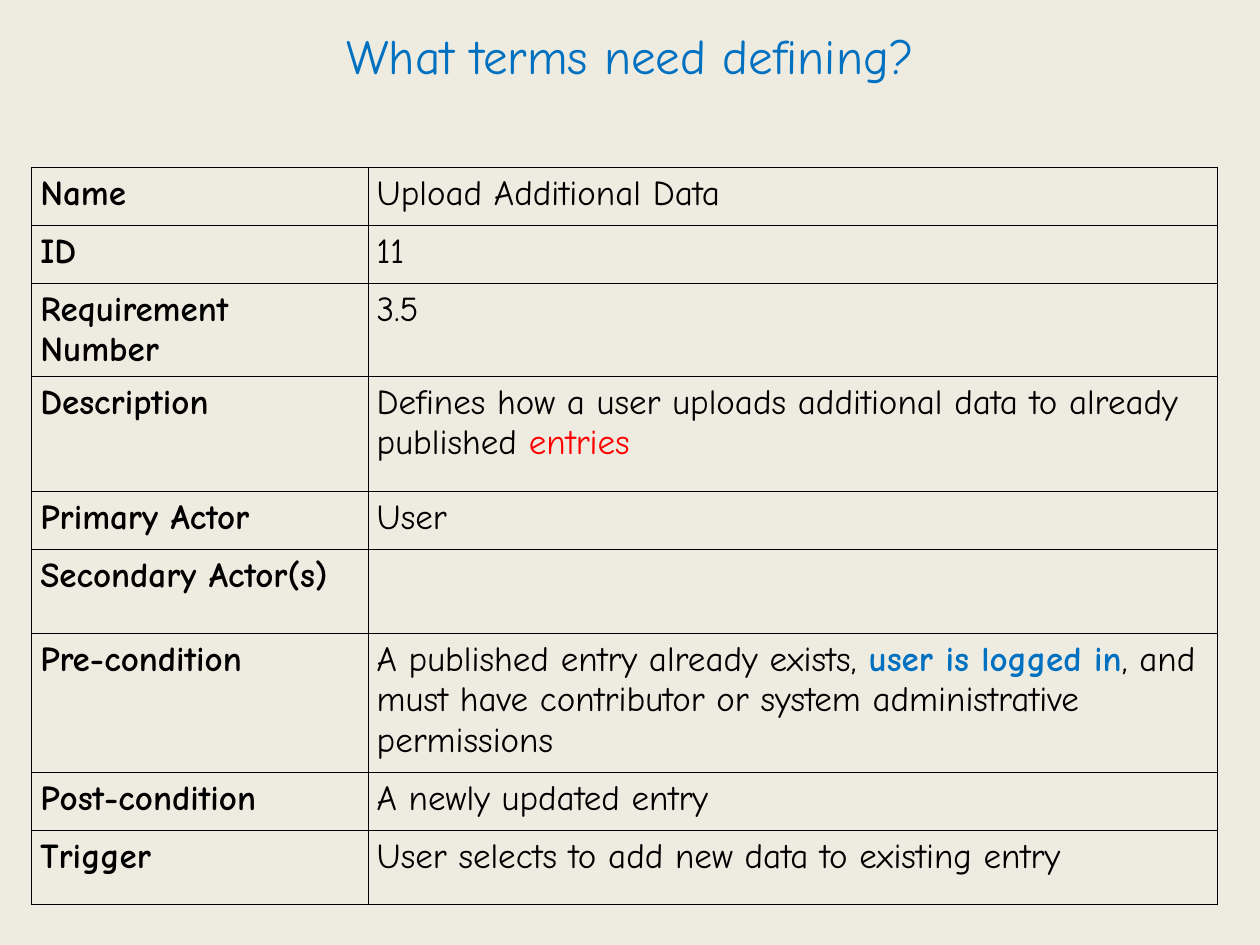
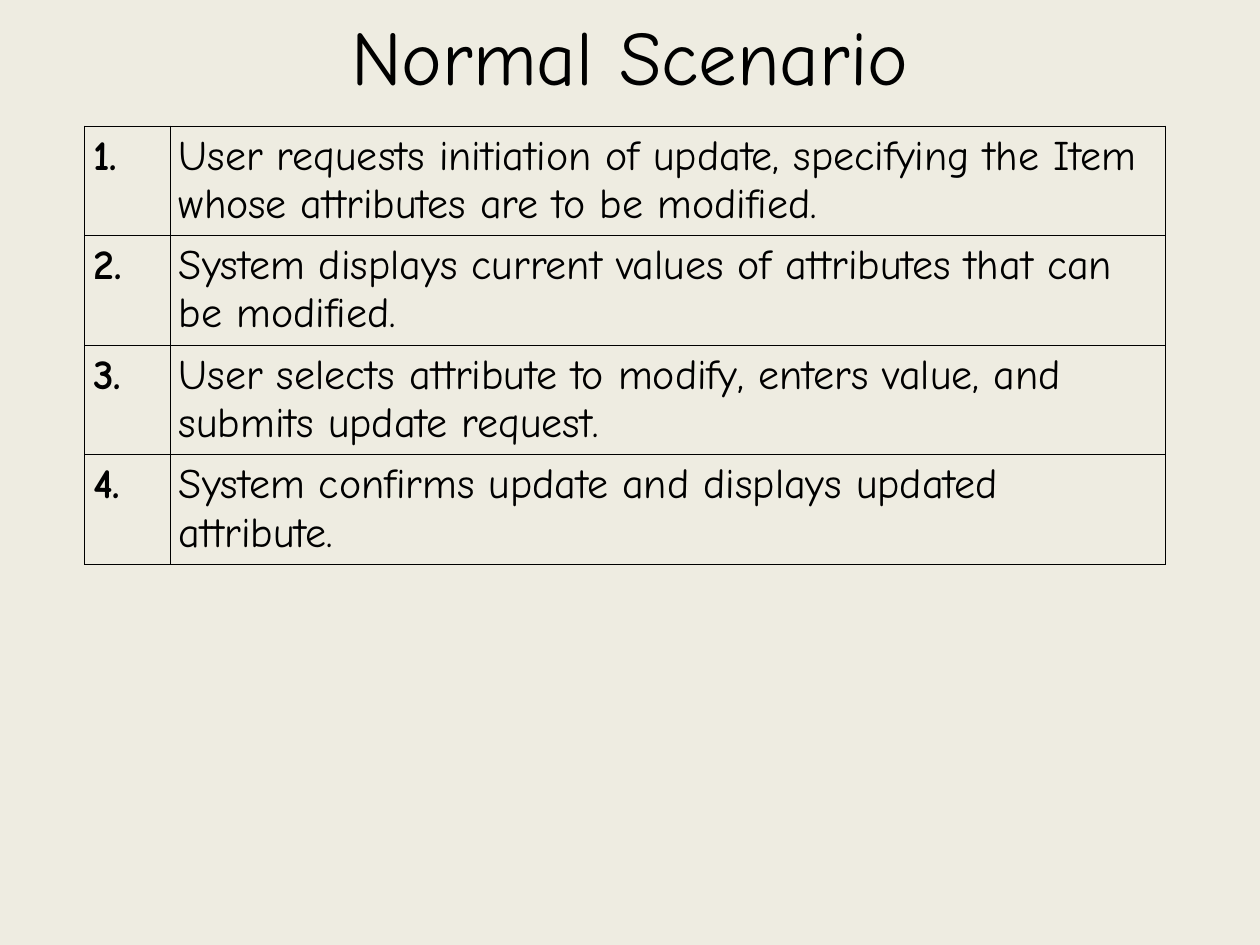
from lxml import etree
from pptx import Presentation
from pptx.dml.color import RGBColor
from pptx.enum.text import MSO_ANCHOR, MSO_AUTO_SIZE, PP_ALIGN
from pptx.oxml.ns import qn
from pptx.util import Inches, Pt

FONT = "Comic Neue"
CREAM = RGBColor(0xEE, 0xEC, 0xE1)
BLACK = RGBColor(0, 0, 0)
BLUE = RGBColor(0, 0x70, 0xC0)
RED = RGBColor(0xFF, 0, 0)
BORDER_WIDTH = Pt(0.45)
CELL_MARGINS = {
    "margin_left": Inches(0.07), "margin_right": Inches(0.07),
    "margin_top": Inches(0.05), "margin_bottom": Inches(0.05),
}

# A cell is a list of runs: (text, format values that differ from the table's).
USE_CASE = [
    ("Name", [("Upload Additional Data", {})]),
    ("ID", [("11", {})]),
    ("Requirement Number", [("3.5", {})]),
    ("Description", [
        ("Defines how a user uploads additional data to already published ", {}),
        ("entries", {"color": RED}),
    ]),
    ("Primary Actor", [("User", {})]),
    ("Secondary Actor(s)", []),
    ("Pre-condition", [
        ("A published entry already exists, ", {}),
        ("user is logged in", {"color": BLUE, "bold": True}),
        (", and must have contributor or system administrative permissions", {}),
    ]),
    ("Post-condition", [("A newly updated entry", {})]),
    ("Trigger", [("User selects to add new data to existing entry", {})]),
]
STEPS = [
    "User requests initiation of update, specifying the Item whose attributes are to be modified.",
    "System displays current values of attributes that can be modified.",
    "User selects attribute to modify, enters value, and submits update request.",
    "System confirms update and displays updated attribute.",
]
SLIDES = [
    {
        "title": "What terms need defining?", "title_size": 28, "title_color": BLUE,
        "rows": USE_CASE, "text_size": 20, "corner": (0.25, 1.33),
        "widths": [2.67, 6.74],
        "heights": [0.46, 0.46, 0.67, 0.91, 0.46, 0.67, 1.1, 0.46, 0.59],
    },
    {
        "title": "Normal Scenario", "title_size": 44, "title_color": BLACK,
        "rows": [(f"{number}.", [(step, {})]) for number, step in enumerate(STEPS, 1)],
        "text_size": 24, "corner": (0.67, 1),
        "widths": [0.68, 7.9], "heights": [0.87] * len(STEPS),
    },
]


def add_run(paragraph, text, size, color=BLACK, bold=False):
    run = paragraph.add_run()
    run.text = text
    for name, value in {"name": FONT, "size": Pt(size), "bold": bold}.items():
        setattr(run.font, name, value)
    run.font.color.rgb = color


def add_title(slide, text, size, color):
    title = slide.shapes.title
    title.left, title.top, title.width, title.height = (
        Inches(length) for length in (0, 0, 10, 0.87))
    frame = title.text_frame
    frame.auto_size = MSO_AUTO_SIZE.NONE
    frame.vertical_anchor = MSO_ANCHOR.MIDDLE
    frame.paragraphs[0].alignment = PP_ALIGN.CENTER
    add_run(frame.paragraphs[0], text, size, color)


def add_borders(cell):
    properties = cell._tc.get_or_add_tcPr()
    for side in ("lnL", "lnR", "lnT", "lnB"):
        line = etree.SubElement(properties, qn(f"a:{side}"), w=str(BORDER_WIDTH))
        fill = etree.SubElement(line, qn("a:solidFill"))
        etree.SubElement(fill, qn("a:srgbClr"), val=str(BLACK))


def fill_cell(cell, runs, size):
    add_borders(cell)
    cell.fill.background()
    for name, value in CELL_MARGINS.items():
        setattr(cell, name, value)
    paragraph = cell.text_frame.paragraphs[0]
    paragraph.font.size = Pt(size)
    for text, style in runs:
        add_run(paragraph, text, size, **style)


def add_ruled_table(slide, rows, size, corner, widths, heights):
    """Add a two-column table with bold labels on the left and no banding."""
    left, top = corner
    table = slide.shapes.add_table(
        len(rows), len(widths), Inches(left), Inches(top),
        Inches(sum(widths)), Inches(sum(heights))).table
    table.first_row = table.horz_banding = False
    for column, width in zip(table.columns, widths):
        column.width = Inches(width)
    for row, height, (label, runs) in zip(table.rows, heights, rows):
        row.height = Inches(height)
        fill_cell(row.cells[0], [(label, {"bold": True})], size)
        fill_cell(row.cells[1], runs, size)


def main():
    prs = Presentation()
    prs.slide_width, prs.slide_height = Inches(10), Inches(7.5)
    background = prs.slide_master.background.fill
    background.solid()
    background.fore_color.rgb = CREAM
    title_only = prs.slide_layouts.get_by_name("Title Only")
    for content in SLIDES:
        slide = prs.slides.add_slide(title_only)
        add_title(slide, content["title"], content["title_size"], content["title_color"])
        add_ruled_table(slide, content["rows"], content["text_size"],
                        content["corner"], content["widths"], content["heights"])
    prs.save("out.pptx")


if __name__ == "__main__":
    main()
